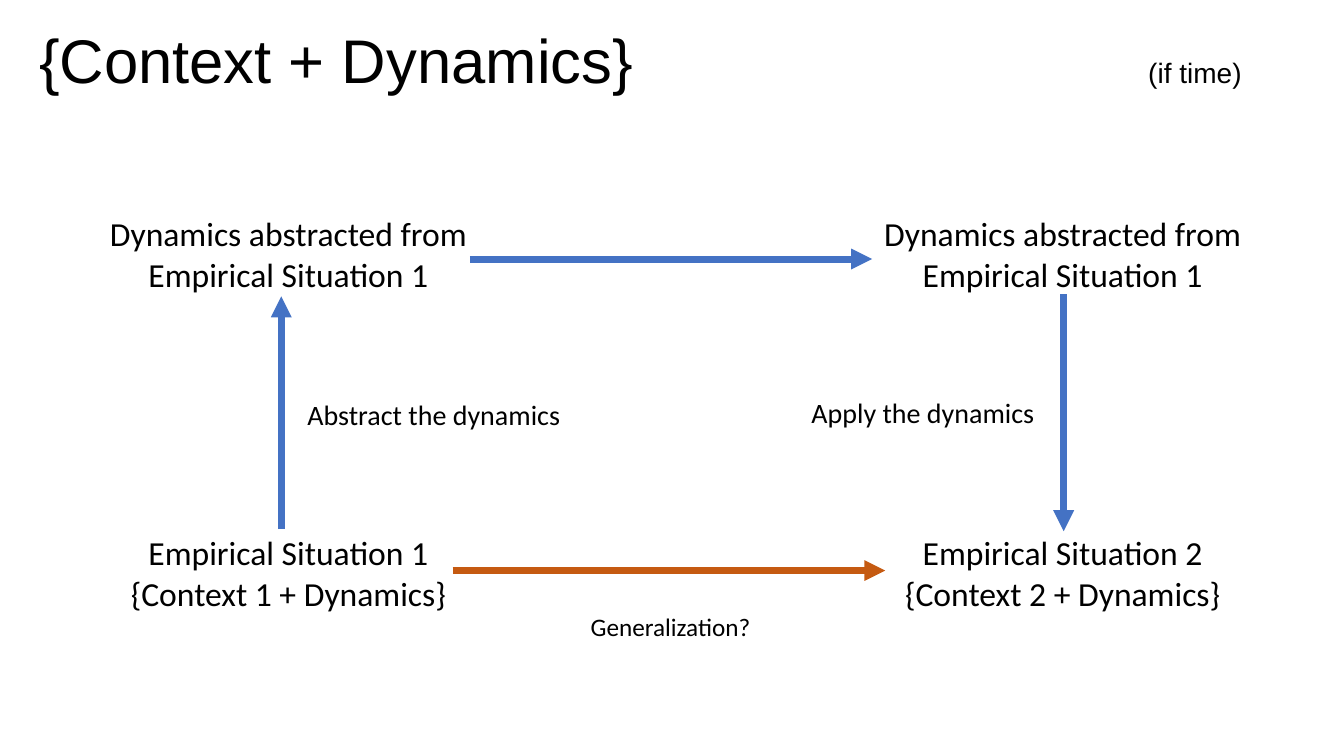
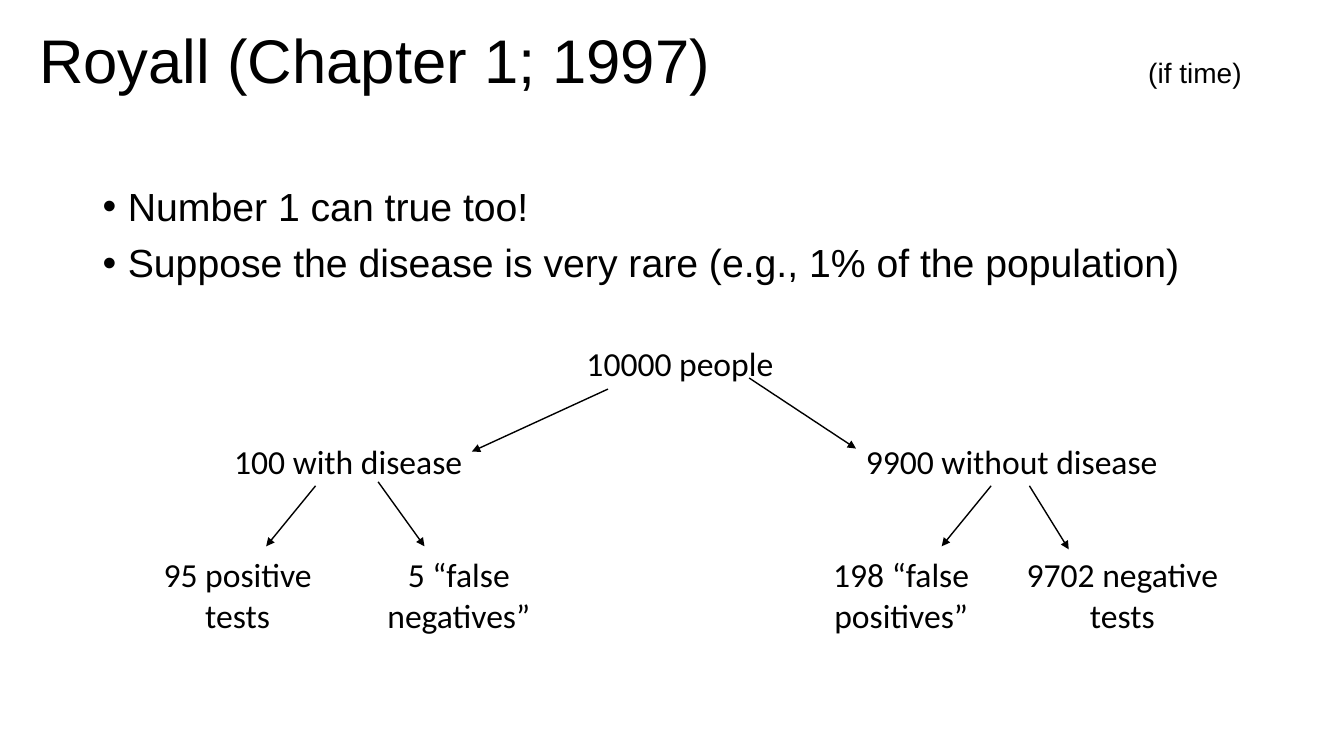
from lxml.etree import SubElement
from pptx import Presentation
from pptx.dml.color import RGBColor
from pptx.enum.shapes import MSO_CONNECTOR
from pptx.enum.text import MSO_ANCHOR, PP_ALIGN
from pptx.oxml.ns import qn
from pptx.util import Pt

EMU_PER_PX = 9144
SLIDE_SIZE = (1333, 750)
COLORS = {"text": "000000", "flow": "4472C4", "question": "C55A11"}
HEADING, BODY = "Arial", "Calibri"
TITLE_BOX = (29, 2, 1273, 123)
TITLE_NOTE = "(if time)"
NOTE_TAB = 1100
BULLET_INDENT = 25

CONTEXT = {
    "title": "{Context + Dynamics}",
    "table": {
        "origin": (92, 181),
        "columns": [388, 187, 199, 376],
        "rows": [146, 85, 85, 146],
        "cells": {
            (0, 0): ["Dynamics abstracted from", "Empirical Situation 1"],
            (0, 3): ["Dynamics abstracted from Empirical Situation 1"],
            (3, 0): ["Empirical Situation 1", "{Context 1 + Dynamics}"],
            (3, 3): ["Empirical Situation 2", "{Context 2 + Dynamics}"],
        },
    },
    "arrow_width": 5,
    "arrows": [
        ("question", (449, 566), (878, 566)),
        ("flow", (466, 257), (865, 257)),
        ("flow", (279, 525), (279, 294)),
        ("flow", (1055, 292), (1055, 527)),
    ],
    "labels": [
        ("Abstract the dynamics", (295, 389, 274, 44), 20),
        ("Generalization?", (576, 602, 181, 40), 18),
        ("Apply the dynamics", (795, 387, 243, 44), 20),
    ],
}

ROYALL = {
    "title": "Royall (Chapter 1; 1997)",
    "bullets": [
        "Number 1 can true too!",
        "Suppose the disease is very rare (e.g., 1% of the population)",
    ],
    "bullet_box": (92, 181, 1150, 476),
    "table": {
        "origin": (126, 314),
        "columns": [219.4] * 5,
        "rows": [97, 97, 167],
        "merges": [((1, 0), (1, 1)), ((1, 3), (1, 4))],
        "cells": {
            (0, 2): ["10000 people"],
            (1, 0): ["100 with disease"],
            (1, 3): ["9900 without disease"],
            (2, 0): ["95 positive tests"],
            (2, 1): ["5 “false negatives”"],
            (2, 3): ["198 “false positives”"],
            (2, 4): ["9702 negative tests"],
        },
    },
    "arrow_width": 1,
    "arrows": [
        ("text", (603, 386), (468, 448)),
        ("text", (743, 375), (849, 445)),
        ("text", (313, 482), (264, 542)),
        ("text", (375, 478), (421, 542)),
        ("text", (983, 482), (934, 542)),
        ("text", (1021, 482), (1060, 545)),
    ],
}


def px(*lengths):
    return [round(length * EMU_PER_PX) for length in lengths]


def color(name):
    return RGBColor.from_string(COLORS[name])


def add_run(paragraph, text, size, font):
    run = paragraph.add_run()
    run.text = text
    run.font.size = Pt(size)
    run.font.name = font
    run.font.color.rgb = color("text")


def write(frame, lines, size=24, font=BODY, align=PP_ALIGN.LEFT, spacing=None, before=None):
    for index, line in enumerate(lines):
        paragraph = frame.add_paragraph() if index else frame.paragraphs[0]
        paragraph.alignment = align
        if spacing:
            paragraph.line_spacing = spacing
        if before:
            paragraph.space_before = Pt(before)
        add_run(paragraph, line, size, font)
    return frame.paragraphs


def add_box(slide, box, wrap=True):
    frame = slide.shapes.add_textbox(*px(*box)).text_frame
    frame.word_wrap = wrap
    return frame


def add_title(slide, title):
    frame = add_box(slide, TITLE_BOX)
    frame.vertical_anchor = MSO_ANCHOR.MIDDLE
    paragraph = write(frame, [title + "\t"], size=44, font=HEADING, spacing=0.9)[0]
    add_run(paragraph, TITLE_NOTE, 20, HEADING)
    tabs = SubElement(paragraph._p.get_or_add_pPr(), qn("a:tabLst"))
    SubElement(tabs, qn("a:tab"), pos=str(*px(NOTE_TAB)), algn="l")


def add_bullets(slide, box, bullets):
    indent = px(BULLET_INDENT)[0]
    frame = add_box(slide, box)
    for paragraph in write(frame, bullets, size=28, font=HEADING, spacing=0.9, before=10):
        properties = paragraph._p.get_or_add_pPr()
        properties.set("marL", str(indent))
        properties.set("indent", str(-indent))
        SubElement(properties, qn("a:buFont"), typeface=HEADING)
        SubElement(properties, qn("a:buChar"), char="•")


def add_grid(slide, origin, columns, rows, cells, merges=()):
    size = (sum(columns), sum(rows))
    table = slide.shapes.add_table(len(rows), len(columns), *px(*origin, *size)).table
    table.first_row = table.horz_banding = False
    for column, width in zip(table.columns, px(*columns)):
        column.width = width
    for row, height in zip(table.rows, px(*rows)):
        row.height = height
    for first, last in merges:
        table.cell(*first).merge(table.cell(*last))
    for cell in table.iter_cells():
        cell.fill.background()
        cell.vertical_anchor = MSO_ANCHOR.MIDDLE
    for position, lines in cells.items():
        write(table.cell(*position).text_frame, lines, align=PP_ALIGN.CENTER)


def add_arrow(slide, color_name, start, end, width):
    arrow = slide.shapes.add_connector(MSO_CONNECTOR.STRAIGHT, *px(*start, *end))
    arrow.line.color.rgb = color(color_name)
    arrow.line.width = Pt(width)
    SubElement(arrow.line._get_or_add_ln(), qn("a:tailEnd"), type="triangle")
    SubElement(arrow._element.spPr, qn("a:effectLst"))


def build_slide(presentation, content):
    slide = presentation.slides.add_slide(presentation.slide_layouts[6])
    add_title(slide, content["title"])
    if "bullets" in content:
        add_bullets(slide, content["bullet_box"], content["bullets"])
    add_grid(slide, **content["table"])
    for arrow in content["arrows"]:
        add_arrow(slide, *arrow, content["arrow_width"])
    for text, box, size in content.get("labels", []):
        write(add_box(slide, box, wrap=False), [text], size=size)


def main():
    presentation = Presentation()
    presentation.slide_width, presentation.slide_height = px(*SLIDE_SIZE)
    for content in (CONTEXT, ROYALL):
        build_slide(presentation, content)
    presentation.save("out.pptx")


if __name__ == "__main__":
    main()
